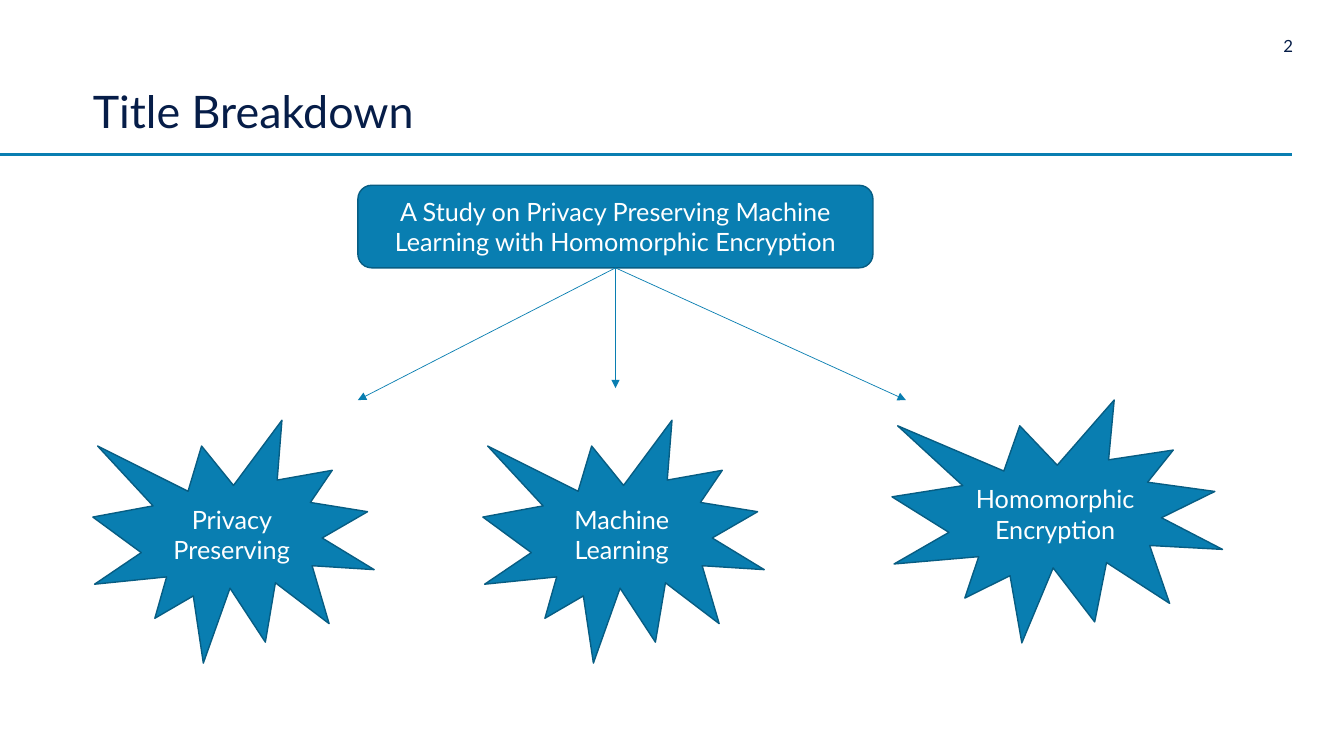
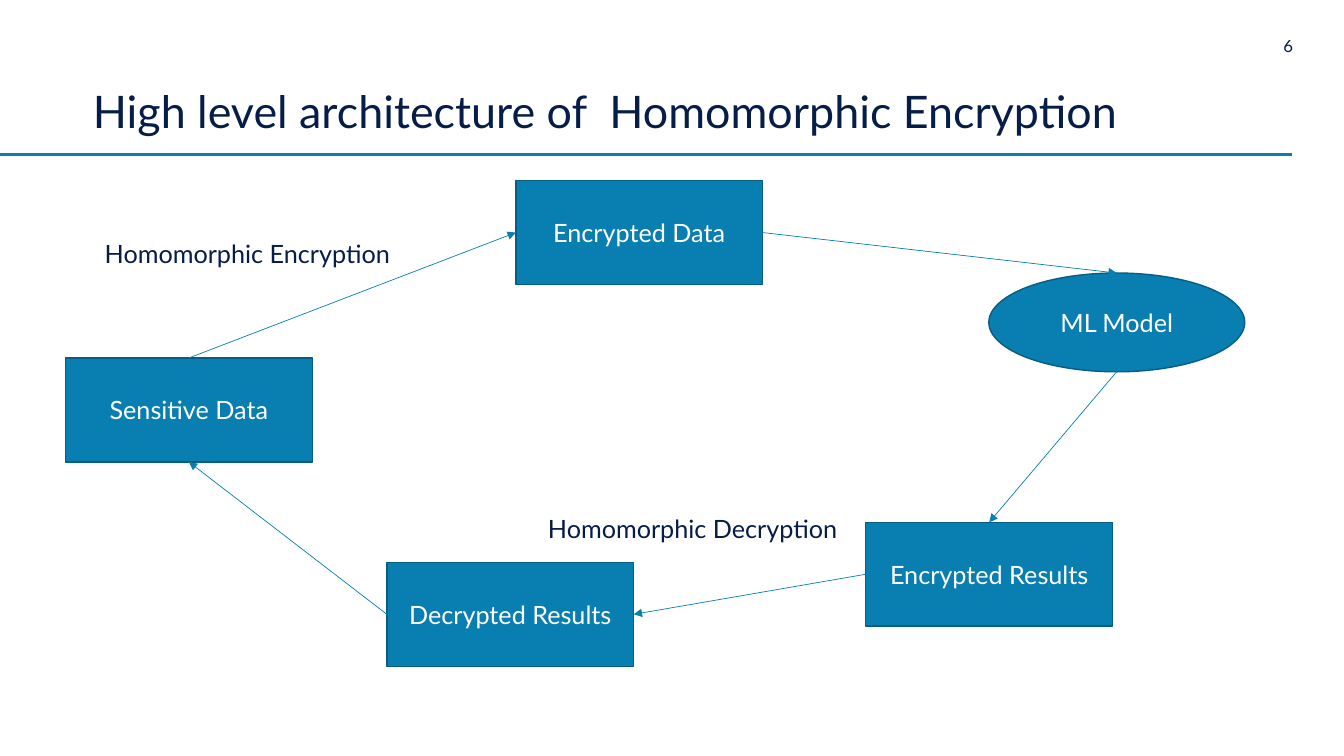
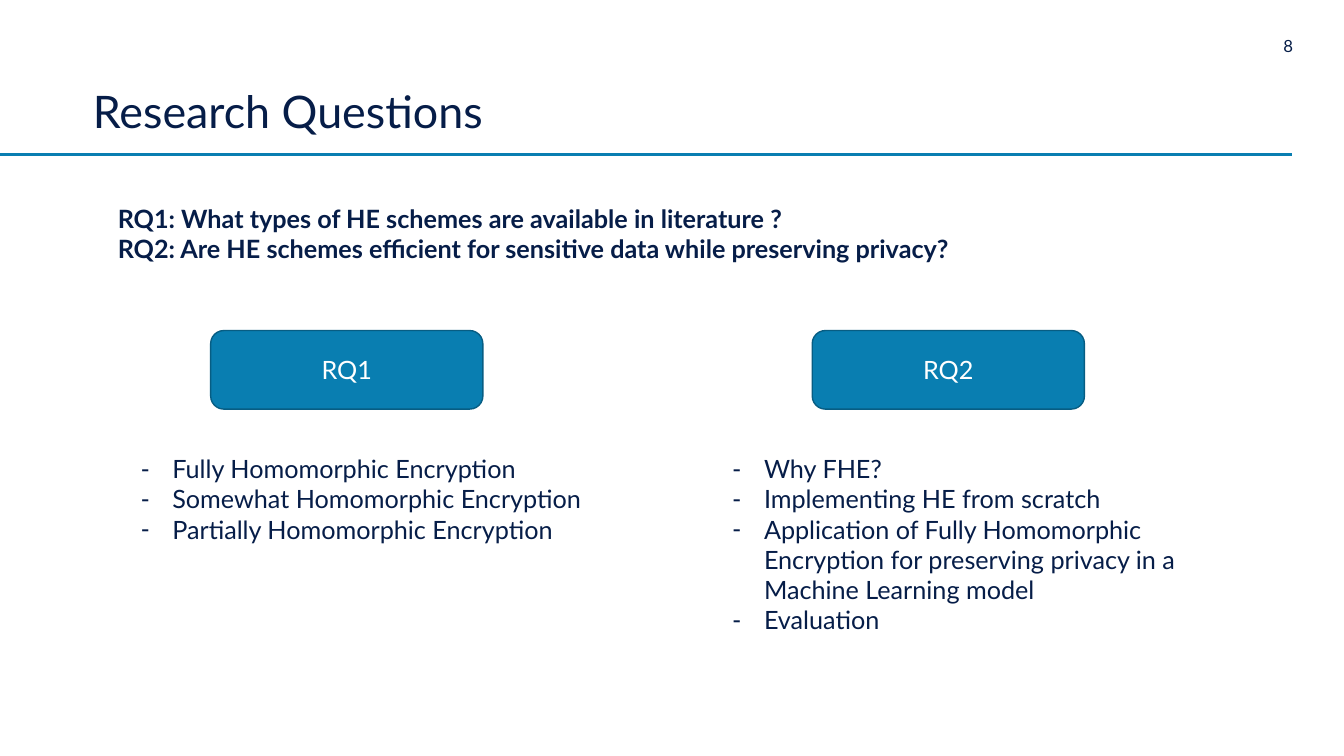
from lxml.etree import SubElement
from pptx import Presentation
from pptx.dml.color import RGBColor
from pptx.enum.shapes import MSO_CONNECTOR, MSO_SHAPE
from pptx.enum.text import MSO_ANCHOR, MSO_AUTO_SIZE, PP_ALIGN
from pptx.oxml.ns import qn
from pptx.util import Cm, Pt

NAVY = RGBColor(0x06, 0x1D, 0x48)
BLUE = RGBColor(0x09, 0x7E, 0xB1)
DARK_BLUE = RGBColor(0x07, 0x5D, 0x83)
WHITE = RGBColor(0xFF, 0xFF, 0xFF)
FONT = "Lato"
TITLE_ONLY, TWO_CONTENT = 5, 3
TOP, LEFT, BOTTOM, RIGHT = range(4)


class Slides:
    """Holds the deck's style and the slide being built."""

    def __init__(self):
        self.deck = Presentation()
        self.deck.slide_width, self.deck.slide_height = Cm(33.87), Cm(19.05)
        self.page = None

    def place(self, shape, left, top, width, height):
        shape.left, shape.top = Cm(left), Cm(top)
        shape.width, shape.height = Cm(width), Cm(height)

    def set_text(self, frame, text, size=18, color=NAVY, align=PP_ALIGN.LEFT, bold=False):
        frame.text = text
        frame.word_wrap = True
        frame.auto_size = MSO_AUTO_SIZE.NONE
        for para in frame.paragraphs:
            para.alignment = align
            para.space_before = Pt(0)
            for span in para.runs:
                span.font.name, span.font.size = FONT, Pt(size)
                span.font.color.rgb, span.font.bold = color, bold

    def clear_margins(self, frame):
        frame.margin_left = frame.margin_right = 0
        frame.margin_top = frame.margin_bottom = 0

    def add_page(self, title, number, layout=TITLE_ONLY, title_width=26.11):
        self.page = self.deck.slides.add_slide(self.deck.slide_layouts[layout])
        self.line((0, 3.89), (32.56, 3.89), 2.25)
        box = self.text(str(number), 31.55, 0.91, 1.04, 0.51, size=12, align=PP_ALIGN.RIGHT)
        self.clear_margins(box.text_frame)
        heading = self.page.shapes.title
        self.place(heading, 2.34, 0.86, title_width, 2.62)
        frame = heading.text_frame
        self.set_text(frame, title, size=32)
        self.clear_margins(frame)
        frame.vertical_anchor = MSO_ANCHOR.BOTTOM
        frame.paragraphs[0].line_spacing = 0.9

    def text(self, text, left, top, width, height, **style):
        box = self.page.shapes.add_textbox(Cm(left), Cm(top), Cm(width), Cm(height))
        self.set_text(box.text_frame, text, **style)
        return box

    def box(self, kind, text, left, top, width, height):
        box = self.page.shapes.add_shape(kind, Cm(left), Cm(top), Cm(width), Cm(height))
        box.shadow.inherit = False
        box.fill.solid()
        box.fill.fore_color.rgb = BLUE
        box.line.color.rgb = DARK_BLUE
        box.line.width = Pt(1)
        box.text_frame.vertical_anchor = MSO_ANCHOR.MIDDLE
        self.set_text(box.text_frame, text, color=WHITE, align=PP_ALIGN.CENTER)
        return box

    def bullets(self, index, items, left, top, width, height):
        body = self.page.placeholders[index]
        self.place(body, left, top, width, height)
        self.set_text(body.text_frame, "\n".join(items))
        for para in body.text_frame.paragraphs:
            properties = para._p.get_or_add_pPr()
            properties.set("marL", str(Cm(0.79)))
            properties.set("indent", str(-Cm(0.79)))
            SubElement(properties, qn("a:buChar")).set("char", "-")

    def line(self, start, end, width):
        line = self.page.shapes.add_connector(
            MSO_CONNECTOR.STRAIGHT, *(Cm(value) for value in start + end))
        line.line.color.rgb = BLUE
        line.line.width = Pt(width)
        SubElement(line.element.spPr, qn("a:effectLst"))
        return line

    def arrow(self, start, end):
        """Draws an arrow between points or (shape, side) pairs."""
        joined = [not isinstance(stop[0], (int, float)) for stop in (start, end)]
        points = [(0, 0) if join else stop for join, stop in zip(joined, (start, end))]
        arrow = self.line(*points, 0.5)
        if joined[0]:
            arrow.begin_connect(*start)
        if joined[1]:
            arrow.end_connect(*end)
        outline = arrow.element.spPr.find(qn("a:ln"))
        SubElement(outline, qn("a:tailEnd")).set("type", "triangle")


def build_breakdown(slides):
    slides.add_page("Title Breakdown", 2)
    study = slides.box(
        MSO_SHAPE.ROUNDED_RECTANGLE,
        "A Study on Privacy Preserving Machine Learning with Homomorphic Encryption",
        9.02, 4.67, 12.98, 2.08)
    for topic, left, top, width, tip in (
            ("Privacy Preserving", 2.34, 10.59, 7.09, (9.02, 10.08)),
            ("Machine Learning", 12.17, 10.59, 7.09, (15.51, 9.78)),
            ("Homomorphic Encryption", 22.48, 10.08, 8.33, (22.83, 10.08))):
        slides.box(MSO_SHAPE.EXPLOSION1, topic, left, top, width, 6.12)
        slides.arrow((study, BOTTOM), tip)


def build_architecture(slides):
    slides.add_page("High level architecture of  Homomorphic Encryption", 6, title_width=29.62)
    sensitive, encrypted, decrypted, results = (
        slides.box(MSO_SHAPE.RECTANGLE, text, left, top, 6.22, 2.62)
        for text, left, top in (
            ("Sensitive Data", 1.65, 9.02),
            ("Encrypted Data", 13, 4.55),
            ("Decrypted Results", 9.75, 14.17),
            ("Encrypted Results", 21.82, 13.16)))
    model = slides.box(MSO_SHAPE.OVAL, "ML Model", 24.92, 6.88, 6.45, 2.49)
    model_bottom = (28.14, 9.37)
    for start, end in (
            ((sensitive, TOP), (encrypted, LEFT)),
            ((encrypted, RIGHT), (model, TOP)),
            (model_bottom, (results, TOP)),
            ((results, LEFT), (decrypted, RIGHT)),
            ((decrypted, LEFT), (sensitive, BOTTOM))):
        slides.arrow(start, end)
    slides.text("Homomorphic Encryption", 2.39, 5.87, 8.92, 1.02)
    slides.text("Homomorphic Decryption", 13.56, 12.8, 7.9, 1.02)


def build_questions(slides):
    slides.add_page("Research Questions", 8, TWO_CONTENT)
    slides.text(
        "RQ1: What types of HE schemes are available in literature ?\n"
        "RQ2: Are HE schemes efficient for sensitive data while preserving privacy?",
        2.72, 5, 21.82, 1.8, bold=True)
    for index, box_left, list_left, height, items in (
            (1, 5.31, 3.3, 2.57, (
                "Fully Homomorphic Encryption",
                "Somewhat Homomorphic Encryption",
                "Partially Homomorphic Encryption")),
            (2, 20.47, 18.21, 5.64, (
                "Why FHE?",
                "Implementing HE from scratch",
                "Application of Fully Homomorphic Encryption for preserving privacy "
                "in a Machine Learning model",
                "Evaluation"))):
        slides.box(MSO_SHAPE.ROUNDED_RECTANGLE, f"RQ{index}", box_left, 8.33, 6.86, 1.98)
        slides.bullets(index, items, list_left, 11.3, 12.34, height)


def main():
    slides = Slides()
    build_breakdown(slides)
    build_architecture(slides)
    build_questions(slides)
    slides.deck.save("out.pptx")


if __name__ == "__main__":
    main()
